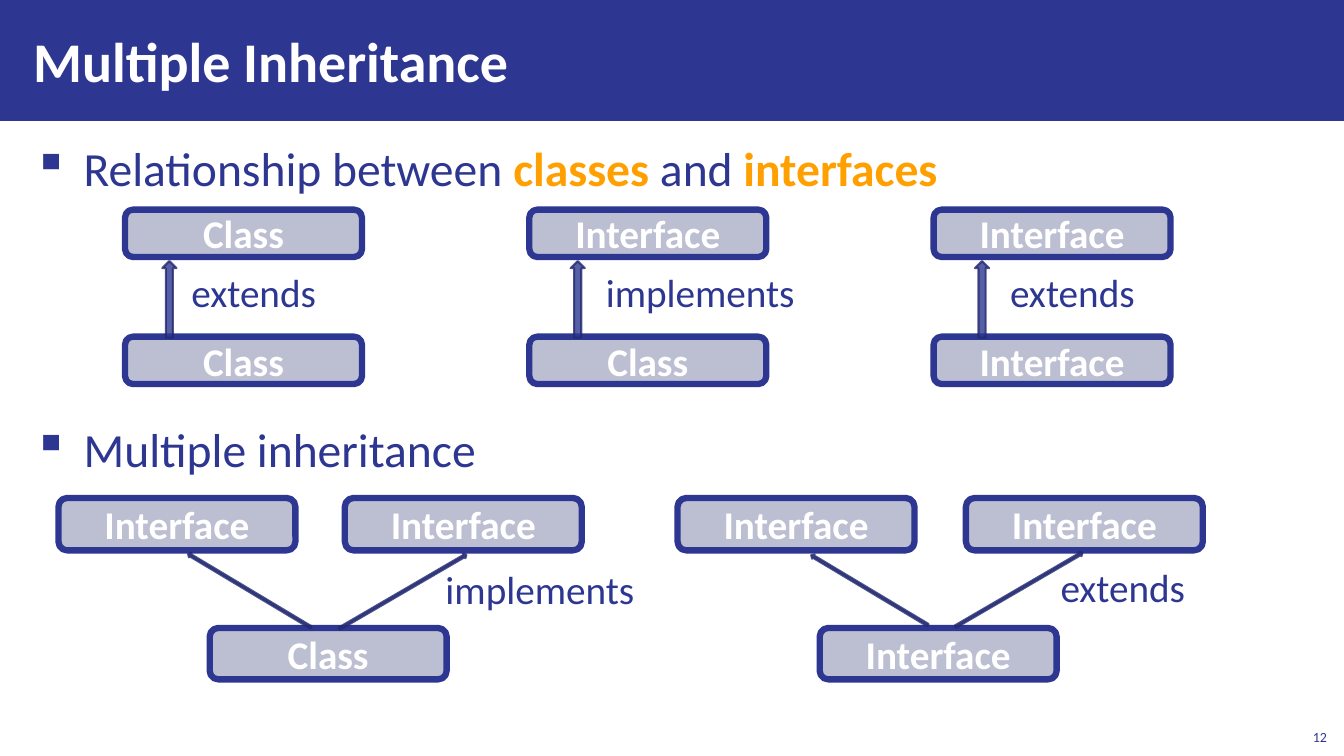
import lxml.etree
import pptx
import pptx.dml.color
import pptx.enum.shapes
import pptx.enum.text
import pptx.oxml.ns
import pptx.util

PX = 9144  # 100 px to the inch
COLORS = {"blue": "2D3791", "navy": "22296D", "orange": "FFA000", "white": "FFFFFF"}
SHAPES = pptx.enum.shapes.MSO_SHAPE
ALIGN = pptx.enum.text.PP_ALIGN
ANCHOR = pptx.enum.text.MSO_ANCHOR


def apply(target, values):
    for name, value in values.items():
        setattr(target, name, value)


def add_xml(parent, tag, **attributes):
    lxml.etree.SubElement(parent, pptx.oxml.ns.qn(tag), attributes)


class SlideBuilder:
    font_name = "Calibri"
    box_width = 235

    def __init__(self, slide):
        self.slide = slide

    def color(self, name):
        return pptx.dml.color.RGBColor.from_string(COLORS[name])

    def run(self, paragraph, text, size, color, bold=False):
        run = paragraph.add_run()
        run.text = text
        apply(run.font, {"name": self.font_name, "size": pptx.util.Pt(size), "bold": bold})
        run.font.color.rgb = self.color(color)

    def opacity(self, shape, part, percent):
        properties = shape.element.spPr.find(pptx.oxml.ns.qn(part))
        color = next(properties.iter(pptx.oxml.ns.qn("a:srgbClr")))
        add_xml(color, "a:alpha", val=str(percent * 1000))

    def shape(self, kind, area, fill, fill_opacity=100, line=None, line_width=0):
        shape = self.slide.shapes.add_shape(kind, *(value * PX for value in area))
        shape.shadow.inherit = False
        shape.fill.solid()
        shape.fill.fore_color.rgb = self.color(fill)
        if fill_opacity < 100:
            self.opacity(shape, "a:solidFill", fill_opacity)
        if line:
            shape.line.color.rgb = self.color(line)
            shape.line.width = pptx.util.Pt(line_width)
        else:
            shape.line.fill.background()
        return shape

    def box(self, left, top, height, text):
        area = (left, top, self.box_width, height)
        shape = self.shape(SHAPES.ROUNDED_RECTANGLE, area, "navy", 30, "blue", 4.5)
        apply(shape.text_frame, {"word_wrap": True, "vertical_anchor": ANCHOR.MIDDLE})
        paragraph = shape.text_frame.paragraphs[0]
        paragraph.alignment = ALIGN.CENTER
        self.run(paragraph, text, 28, "white", True)

    def arrow(self, area, rotation=180):
        shape = self.shape(SHAPES.DOWN_ARROW, area, "blue", 80, "navy", 1.5)
        shape.rotation = rotation
        self.opacity(shape, "a:ln", 80)

    def text(self, area, runs, **frame_format):
        text_box = self.slide.shapes.add_textbox(*(value * PX for value in area))
        frame = text_box.text_frame
        apply(frame, {"word_wrap": True, **frame_format})
        for values in runs:
            self.run(frame.paragraphs[0], *values)
        return frame

    def label(self, left, top, width, text):
        self.text((left, top, width, 57), [(text, 28, "blue")], word_wrap=False)

    def bullet(self, paragraph, space_before):
        apply(paragraph, {
            "line_spacing": 1.05,
            "space_before": pptx.util.Pt(space_before),
            "space_after": pptx.util.Pt(6),
        })
        properties = paragraph._p.get_or_add_pPr()
        indent = 50 * PX
        properties.set("marL", str(indent))
        properties.set("indent", str(-indent))
        add_xml(properties, "a:buChar", char="▪")


def main():
    presentation = pptx.Presentation()
    presentation.slide_width = 1333 * PX
    presentation.slide_height = 750 * PX
    builder = SlideBuilder(presentation.slides.add_slide(presentation.slide_layouts[6]))
    insets = {"margin_left": 12 * PX, "margin_right": 12 * PX,
              "margin_top": 4 * PX, "margin_bottom": 4 * PX}

    # Title band
    builder.shape(SHAPES.RECTANGLE, (0, 0, 1333, 120), "blue")
    builder.text((21, 11, 1040, 97), [("Multiple Inheritance", 40, "white", True)],
                 vertical_anchor=ANCHOR.MIDDLE, **insets)

    # Bullets, with room for the first diagram between them
    body = builder.text((21, 131, 1292, 569), [
        ("Relationship between ", 34, "blue"),
        ("classes", 34, "orange", True),
        (" and ", 34, "blue"),
        ("interfaces", 34, "orange", True),
    ], **insets)
    builder.bullet(body.paragraphs[0], 6)
    second = body.add_paragraph()
    builder.run(second, "Multiple inheritance", 34, "blue")
    builder.bullet(second, 152)

    # Single relationships: parent, child, label and its place, arrow left
    relationships = [
        ("Class", "Class", "extends", 180, 145, 161),
        ("Interface", "Class", "implements", 591, 209, 566),
        ("Interface", "Interface", "extends", 992, 145, 967),
    ]
    for column, (parent, child, label, label_left, label_width, arrow_left) in enumerate(relationships):
        left = 124 + 401 * column
        builder.box(left, 208, 47, parent)
        builder.box(left, 334, 47, child)
        builder.label(label_left, 261, label_width, label)
        builder.arrow((arrow_left, 259, 14, 76))

    # Multiple inheritance: parent lefts, child and its left, label place, arrows
    families = [
        ((58, 342), "Class", 208, ("implements", 432, 556, 209),
         ((245, 515, 5, 142), (397, 514, 5, 146))),
        ((672, 958), "Interface", 813, ("extends", 1042, 554, 145),
         ((860, 518, 5, 135), (1008, 512, 5, 146))),
    ]
    for parent_lefts, child, child_left, label, arrows in families:
        for left in parent_lefts:
            builder.box(left, 494, 52, "Interface")
        builder.box(child_left, 623, 51, child)
        text, left, top, width = label
        builder.label(left, top, width, text)
        for area, rotation in zip(arrows, (120.9, 239.8)):
            builder.arrow(area, rotation)

    # Slide number
    number = builder.text((1286, 712, 40, 32), [("12", 10, "blue")],
                          vertical_anchor=ANCHOR.BOTTOM)
    number.paragraphs[0].alignment = ALIGN.RIGHT

    presentation.save("out.pptx")


if __name__ == "__main__":
    main()
